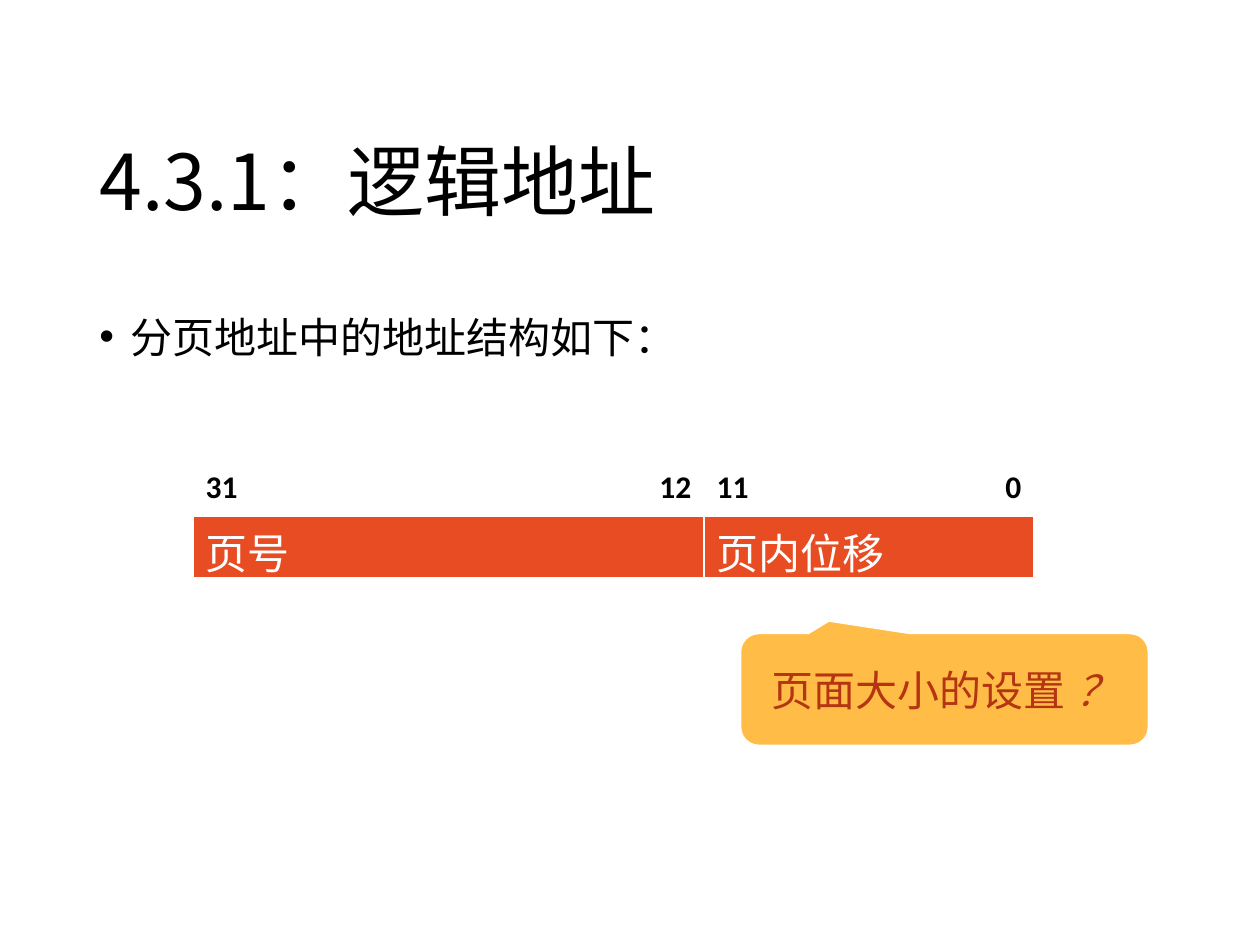
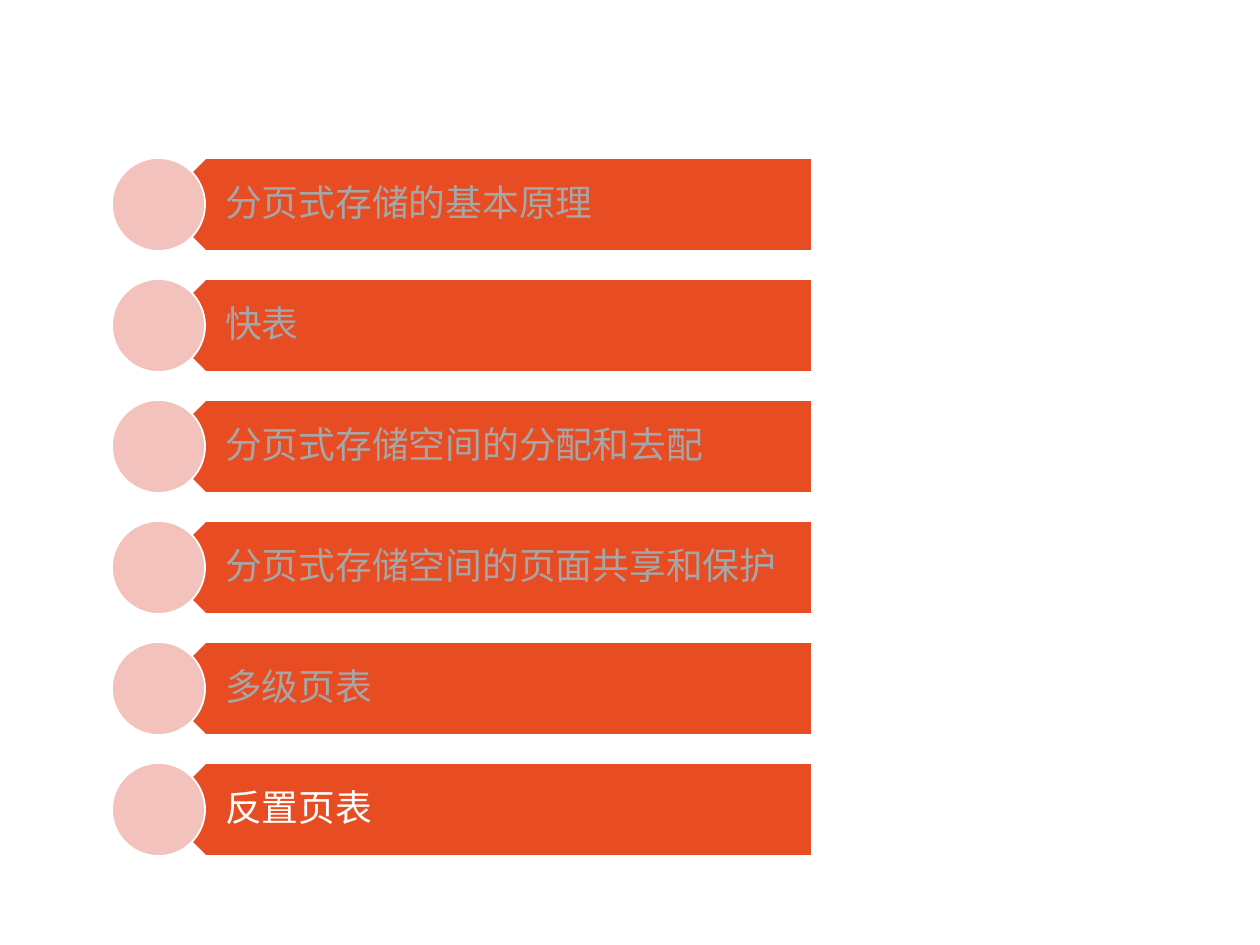
from lxml.etree import SubElement
from pptx import Presentation
from pptx.dml.color import RGBColor
from pptx.enum.shapes import MSO_SHAPE as Preset
from pptx.enum.text import MSO_ANCHOR as Anchor, PP_ALIGN as Align
from pptx.oxml.ns import qn
from pptx.util import Emu, Pt

SCALE = 914400 // 126
COLORS = {
    "black": "000000", "white": "FFFFFF", "orange": "E84C22", "amber": "FFBD47",
    "rust": "B53513", "gray": "A6A6A6", "pink": "F4C2BD",
}
LATIN, CJK = "Calibri", "Noto Sans CJK SC"

TITLE = "4.3.1：逻辑地址"
INTRO = "分页地址中的地址结构如下："
BIT_COLUMNS = [("31", 210), ("12", 301), ("11", 120), ("0", 210)]
FIELDS = ["页号", "页内位移"]
TABLE_LEFT, TABLE_TOP, ROW_HEIGHTS = 193, 462, [53, 63]
QUESTION, QUESTION_MARK = "页面大小的设置 ", "？"
CALLOUT_BOX, CALLOUT_POINTS = (740, 633, 409, 113), (-0.283, -0.611, 0.167)

TOPICS = [
    "分页式存储的基本原理", "快表", "分页式存储空间的分配和去配",
    "分页式存储空间的页面共享和保护", "多级页表", "反置页表",
]
CURRENT_TOPIC = "反置页表"
TOPIC_TOP, TOPIC_PITCH, TOPIC_HEIGHT = 158, 121, 93


def px(*values):
    return [Emu(value * SCALE) for value in values]


def color(name):
    return RGBColor.from_string(COLORS[name])


def style(paragraph, size, color_name, latin=LATIN, bold=False, align=Align.LEFT, spacing=None):
    paragraph.alignment = align
    if spacing:
        paragraph.line_spacing = spacing
    font = paragraph.font
    font.size, font.bold, font.name = Pt(size), bold, latin
    font.color.rgb = color(color_name)
    defaults = paragraph._p.get_or_add_pPr().find(qn("a:defRPr"))
    SubElement(defaults, qn("a:ea"), typeface=CJK)


def add_panel(shapes, preset, box, fill, line_width=1):
    shape = shapes.add_shape(preset, *px(*box))
    shape.shadow.inherit = False
    shape.fill.solid()
    shape.fill.fore_color.rgb = color(fill)
    shape.line.color.rgb = color("white")
    shape.line.width = Pt(line_width)
    return shape


def add_text_box(shapes, box, text):
    shape = shapes.add_textbox(*px(*box))
    frame = shape.text_frame
    frame.word_wrap = True
    frame.text = text
    return frame


def add_bullet(paragraph, indent):
    properties = paragraph._p.get_or_add_pPr()
    properties.set("marL", str(indent))
    properties.set("indent", str(-indent))
    SubElement(properties, qn("a:buFont"), typeface="Arial")
    SubElement(properties, qn("a:buChar"), char="•")


def add_borders(cell, bottom_width):
    properties = cell._tc.get_or_add_tcPr()
    for side, width in (("L", 1), ("R", 1), ("T", 1), ("B", bottom_width)):
        line = SubElement(properties, qn(f"a:ln{side}"), w=str(Pt(width)))
        fill = SubElement(line, qn("a:solidFill"))
        SubElement(fill, qn("a:srgbClr"), val=COLORS["white"])


def add_address_table(slide):
    widths = [width for _, width in BIT_COLUMNS]
    table = slide.shapes.add_table(
        2, len(widths), *px(TABLE_LEFT, TABLE_TOP, sum(widths), sum(ROW_HEIGHTS))).table
    table.first_row = table.horz_banding = False
    for row, height in zip(table.rows, ROW_HEIGHTS):
        row.height = Emu(height * SCALE)
    for index, (bit, width) in enumerate(BIT_COLUMNS):
        table.columns[index].width = Emu(width * SCALE)
        bit_cell, field_cell = table.cell(0, index), table.cell(1, index)
        add_borders(bit_cell, 3)
        bit_cell.fill.background()
        bit_cell.text = bit
        style(bit_cell.text_frame.paragraphs[0], 18, "black", bold=True,
              align=Align.RIGHT if index % 2 else Align.LEFT)
        add_borders(field_cell, 1)
        field_cell.fill.solid()
        field_cell.fill.fore_color.rgb = color("orange")
    for index, field in enumerate(FIELDS):
        cell = table.cell(1, 2 * index)
        cell.merge(table.cell(1, 2 * index + 1))
        cell.text = field
        style(cell.text_frame.paragraphs[0], 24, "white")


def build_address_slide(presentation):
    slide = presentation.slides.add_slide(presentation.slide_layouts[5])
    title = slide.shapes.title
    title.left, title.top, title.width, title.height = px(87, 50, 1086, 183)
    title.text_frame.text = TITLE
    title.text_frame.vertical_anchor = Anchor.BOTTOM
    style(title.text_frame.paragraphs[0], 44, "black", CJK, spacing=0.9)

    intro = add_text_box(slide.shapes, (87, 315, 1086, 54), INTRO).paragraphs[0]
    add_bullet(intro, Pt(18))
    style(intro, 24, "black", CJK, spacing=0.8)

    add_address_table(slide)

    callout = add_panel(slide.shapes, Preset.ROUNDED_RECTANGULAR_CALLOUT, CALLOUT_BOX, "amber", 1.5)
    for index, value in enumerate(CALLOUT_POINTS):
        callout.adjustments[index] = value
    callout.text_frame.vertical_anchor = Anchor.MIDDLE
    paragraph = callout.text_frame.paragraphs[0]
    paragraph.add_run().text = QUESTION
    mark = paragraph.add_run()
    mark.text = QUESTION_MARK
    mark.font.italic = True
    style(paragraph, 24, "rust", align=Align.CENTER)


def build_topics_slide(presentation):
    slide = presentation.slides.add_slide(presentation.slide_layouts[6])
    shapes = slide.shapes.add_group_shape().shapes
    for index, topic in enumerate(TOPICS):
        top = TOPIC_TOP + index * TOPIC_PITCH
        band = add_panel(shapes, Preset.PENTAGON, (159, top, 653, TOPIC_HEIGHT), "orange")
        band.rotation = 180
        frame = add_text_box(shapes, (183, top, 628, TOPIC_HEIGHT), topic)
        frame.vertical_anchor = Anchor.MIDDLE
        (frame.margin_left, frame.margin_top,
         frame.margin_right, frame.margin_bottom) = px(42, 11, 20, 11)
        style(frame.paragraphs[0], 21, "white" if topic == CURRENT_TOPIC else "gray", spacing=0.9)
        add_panel(shapes, Preset.OVAL, (112, top, TOPIC_HEIGHT, TOPIC_HEIGHT), "pink")


def main():
    """Build the two slides on paged memory addresses."""
    presentation = Presentation()
    presentation.slide_width, presentation.slide_height = px(1260, 945)
    build_address_slide(presentation)
    build_topics_slide(presentation)
    presentation.save("out.pptx")


if __name__ == "__main__":
    main()
